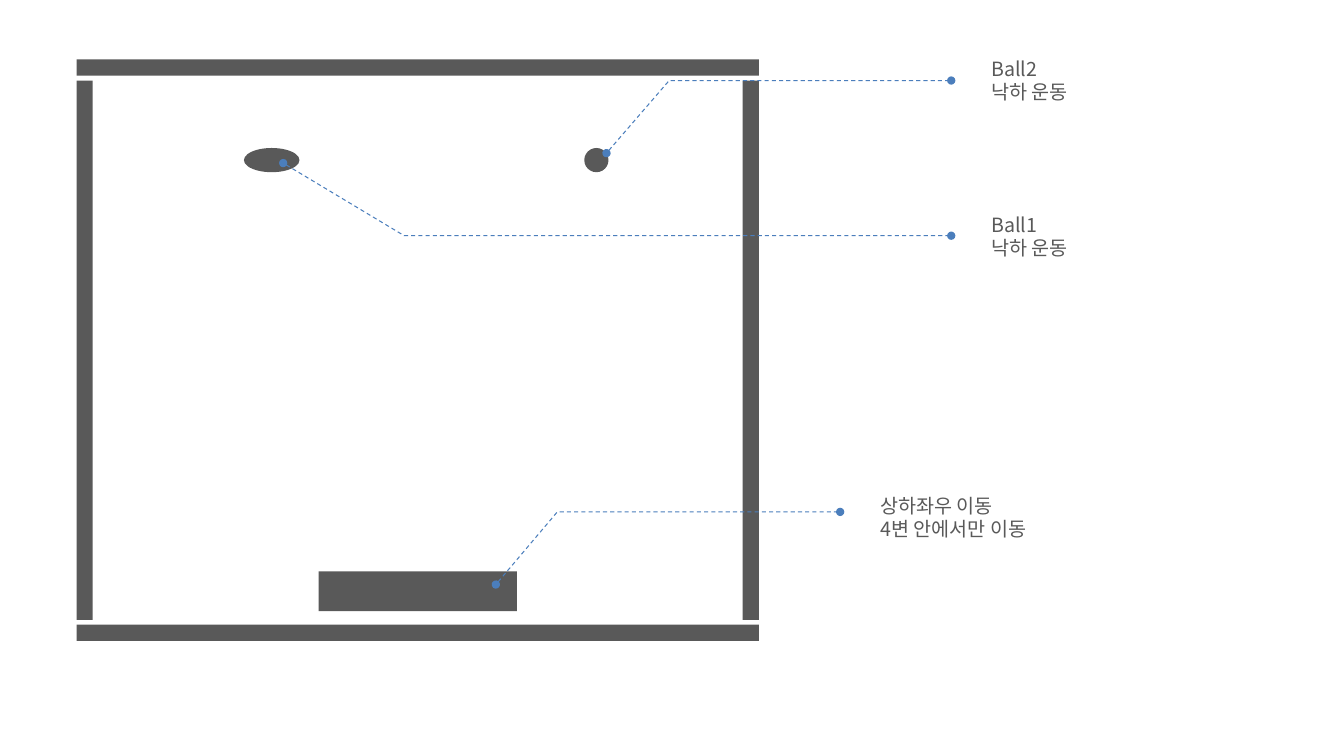
"""Builds the game field slide with its walls, balls, bat and labels."""
from dataclasses import dataclass

from lxml.etree import SubElement
from pptx import Presentation
from pptx.dml.color import RGBColor
from pptx.enum.dml import MSO_LINE
from pptx.enum.shapes import MSO_SHAPE
from pptx.enum.text import MSO_AUTO_SIZE
from pptx.oxml.ns import qn
from pptx.util import Cm, Pt


@dataclass(frozen=True)
class Theme:
    dark: RGBColor = RGBColor(0x59, 0x59, 0x59)
    blue: RGBColor = RGBColor(0x4B, 0x7E, 0xBC)
    font: str = "Noto Sans CJK KR"
    size: int = 14
    line: float = 0.75


theme = Theme()
deck = Presentation()
deck.slide_width, deck.slide_height = Cm(33.88), Cm(19.05)
slide = deck.slides.add_slide(deck.slide_layouts[6])
shapes = slide.shapes


def add_text(lines, *, left, top, width, height=1.45, size=theme.size, color=theme.dark):
    box = shapes.add_textbox(Cm(left), Cm(top), Cm(width), Cm(height))
    frame = box.text_frame
    frame.word_wrap = False
    frame.auto_size = MSO_AUTO_SIZE.SHAPE_TO_FIT_TEXT
    frame.text = "\n".join(lines)
    for para in frame.paragraphs:
        for run in para.runs:
            run.font.name = theme.font
            run.font.size = Pt(size)
            run.font.color.rgb = color
            SubElement(run.font._element, qn("a:ea"), typeface=theme.font)


left, top, width, thick = 1.93, 1.5, 17.2, 0.41
gap, side = 0.12, 13.59
inner = top + thick + gap
base = inner + side + gap
right = left + width - thick
ball = 0.61

parts = [
    (MSO_SHAPE.RECTANGLE, left, top, width, thick),
    (MSO_SHAPE.RECTANGLE, left, base, width, thick),
    (MSO_SHAPE.RECTANGLE, left, inner, thick, side),
    (MSO_SHAPE.RECTANGLE, right, inner, thick, side),
    (MSO_SHAPE.OVAL, 6.15, 3.73, 1.4, ball),
    (MSO_SHAPE.RECTANGLE, 8.03, 14.4, 5, 1),
    (MSO_SHAPE.OVAL, 14.73, 3.73, ball, ball),
]
for kind, *frame in parts:
    part = shapes.add_shape(kind, *map(Cm, frame))
    part.shadow.inherit = False
    part.fill.solid()
    part.fill.fore_color.rgb = theme.dark
    part.line.fill.background()

labels = [
    (["상하좌우 이동", "4변 안에서만 이동"], [(12.5, 14.73), (14.05, 12.9), (21.18, 12.9)], 12.32, 4.62),
    (["Ball2", "낙하 운동"], [(15.29, 3.86), (16.87, 2.03), (23.98, 2.03)], 1.3, 2.69),
    (["Ball1", "낙하 운동"], [(7.14, 4.11), (10.19, 5.94), (23.98, 5.94)], 5.23, 2.69),
]
for lines, points, high, wide in labels:
    start, *rest = [(Cm(x), Cm(y)) for x, y in points]
    maker = shapes.build_freeform(*start)
    maker.add_line_segments(rest, close=False)
    lead = maker.convert_to_shape()
    lead.shadow.inherit = False
    lead.fill.background()
    lead.line.color.rgb = theme.blue
    lead.line.width = Pt(theme.line)
    lead.line.dash_style = MSO_LINE.DASH
    for end in ("a:headEnd", "a:tailEnd"):
        SubElement(lead.line._get_or_add_ln(), qn(end), type="oval")
    add_text(lines, left=points[-1][0] + 0.76, top=high, width=wide)

deck.save("out.pptx")
